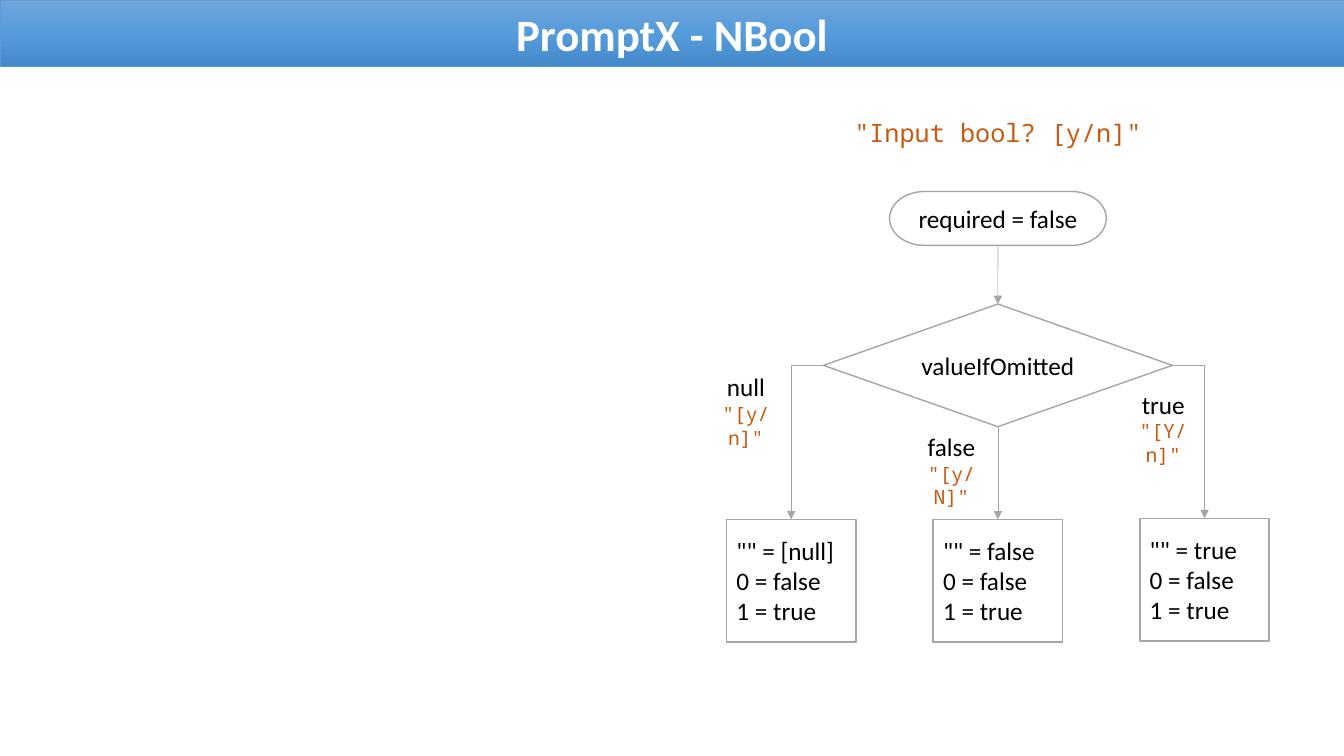
import copy
from pptx import Presentation, util as u
from pptx.dml.color import RGBColor
from pptx.enum import shapes, text
from pptx.oxml import ns
from lxml import etree

WHITE = RGBColor(0xFF, 0xFF, 0xFF)
BLACK = RGBColor(0x00, 0x00, 0x00)
GRAY = RGBColor(0xA5, 0xA5, 0xA5)
BOX_GRAY = RGBColor(0xA6, 0xA6, 0xA6)
ORANGE = RGBColor(0xC5, 0x5A, 0x11)
BLUE = RGBColor(0x5B, 0x9B, 0xD5)
BAND = [(0, RGBColor(0x71, 0xA6, 0xDB)), (0.5, RGBColor(0x55, 0x9B, 0xDB)),
        (1, RGBColor(0x44, 0x8A, 0xCA))]
SANS, MONO = "Calibri", "Noto Sans Mono"
CENTER = text.PP_ALIGN.CENTER
CENTER_X = 712.8
KIND = shapes.MSO_SHAPE

deck = Presentation()
deck.slide_width, deck.slide_height = u.Pt(960), u.Pt(540)
page = deck.slides.add_slide(deck.slide_layouts[6])


def write(shape, lines, align=CENTER, anchor=text.MSO_ANCHOR.MIDDLE):
    frame = shape.text_frame
    frame.word_wrap = True
    frame.vertical_anchor = anchor
    for index, (words, size, font, color) in enumerate(lines):
        para = frame.add_paragraph() if index else frame.paragraphs[0]
        para.alignment = align
        span = para.add_run()
        span.text = words
        span.font.size = u.Pt(size)
        span.font.name = font
        span.font.color.rgb = color


def add_node(kind, left, top, width, height, line=GRAY, weight=1):
    node = page.shapes.add_shape(kind, u.Pt(left), u.Pt(top), u.Pt(width), u.Pt(height))
    node.shadow.inherit = False
    node.fill.solid()
    node.fill.fore_color.rgb = WHITE
    node.line.color.rgb = line
    node.line.width = u.Pt(weight)
    return node


title = add_node(KIND.RECTANGLE, 0, 0, 960, 47.5, BLUE, 0.5)
title.fill.gradient()
title.fill.gradient_angle = 270
stop_list = title.element.spPr.find(".//" + ns.qn("a:gsLst"))
stop_list.append(copy.deepcopy(stop_list[0]))
for stop, (position, color) in zip(title.fill.gradient_stops, BAND):
    stop.position = position
    stop.color.rgb = color
write(title, [("PromptX - NBool", 32, SANS, WHITE)])
title.text_frame.paragraphs[0].runs[0].font.bold = True

start = add_node(KIND.FLOWCHART_TERMINATOR, CENTER_X - 77.4, 136.8, 154.8, 38.5)
write(start, [("required = false", 18, SANS, BLACK)])
decision = add_node(KIND.FLOWCHART_DECISION, CENTER_X - 124.6, 217.2, 249.2, 87.6)
write(decision, [("valueIfOmitted", 18, SANS, BLACK)])

labels = [(CENTER_X - 132.1, 80, 264.2, 29, [('"Input bool? [y/n]"', 18, MONO, ORANGE)])]
links = [(start, 2, decision, 0, None)]
branches = [
    ("null", "[null]", '"[y/n]"', 498.2, 262, 371, 1, "bentConnector2"),
    ("false", "false", '"[y/N]"', 645, 304.7, 371, 2, None),
    ("true", "true", '"[Y/n]"', 796.3, 274.2, 370.2, 3, "bentConnector2"),
]
for column, (name, default, prompt, left, top, box_top, site, bend) in enumerate(branches):
    box_left = CENTER_X + (column - 1) * 147.6 - 46.2
    box = add_node(KIND.RECTANGLE, box_left, box_top, 92.4, 87.6, BOX_GRAY)
    answers = [f'"" = {default}', "0 = false", "1 = true"]
    write(box, [(answer, 18, SANS, BLACK) for answer in answers], text.PP_ALIGN.LEFT)
    links.append((decision, site, box, 0, bend))
    labels.append((left, top, 69.2, 46,
                   [(name, 18, SANS, BLACK), (prompt, 14, MONO, ORANGE)]))

for source, source_site, target, target_site, bend in links:
    link = page.shapes.add_connector(shapes.MSO_CONNECTOR.STRAIGHT, 0, 0, 0, 0)
    link.begin_connect(source, source_site)
    link.end_connect(target, target_site)
    link.line.color.rgb = GRAY
    link.line.width = u.Pt(0.5)
    properties = link.element.spPr if hasattr(link, "element") else link._element.spPr
    if bend:
        properties.find(ns.qn("a:prstGeom")).set("prst", bend)
    etree.SubElement(properties.find(ns.qn("a:ln")), ns.qn("a:tailEnd"), type="triangle")
    etree.SubElement(properties, ns.qn("a:effectLst"))

for left, top, width, height, lines in labels:
    label = page.shapes.add_textbox(u.Pt(left), u.Pt(top), u.Pt(width), u.Pt(height))
    write(label, lines, anchor=text.MSO_ANCHOR.TOP)

deck.save("out.pptx")
